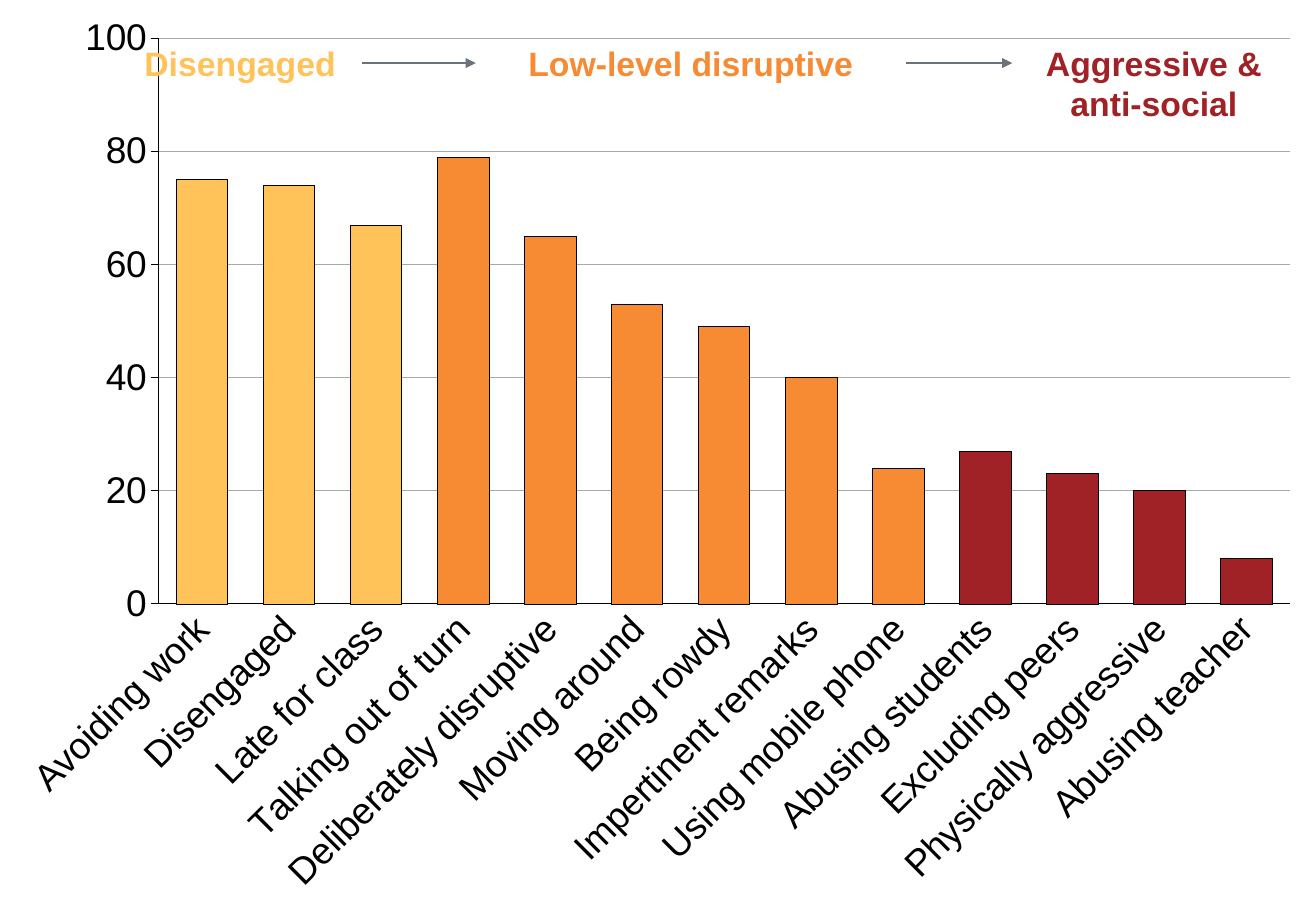
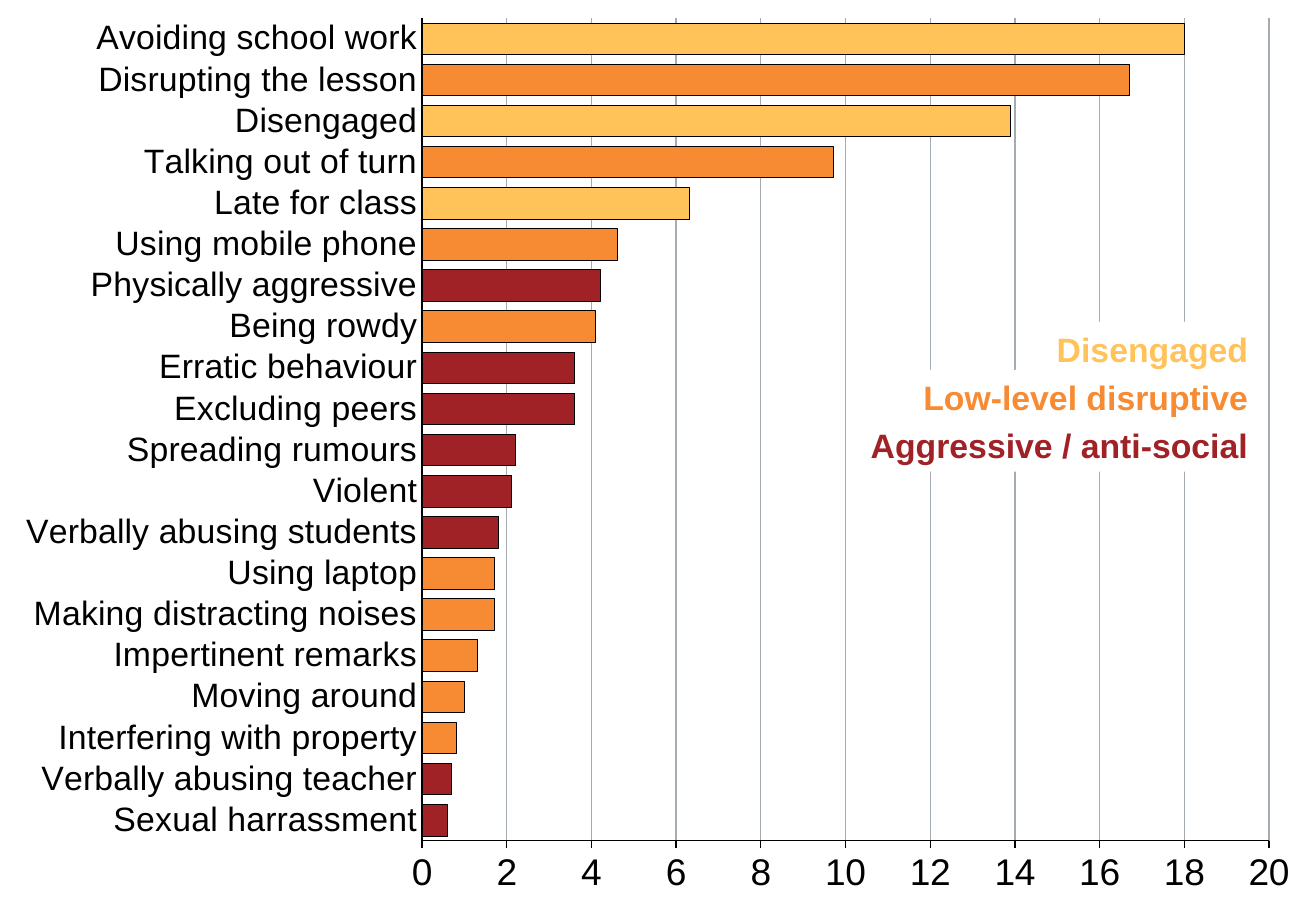
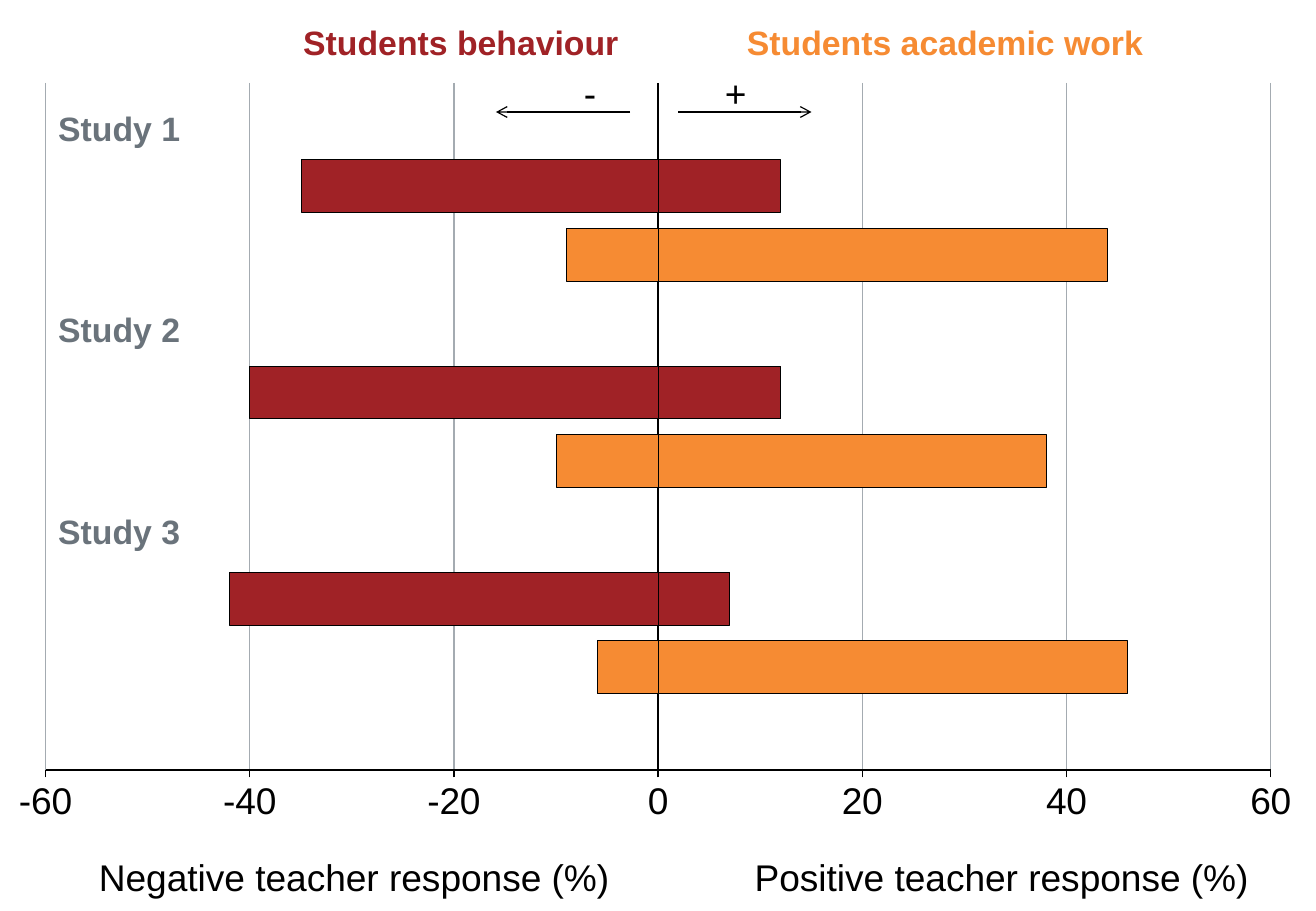
import pptx
import pptx.chart.data
import pptx.dml.color
import pptx.enum.chart
import pptx.enum.shapes
import pptx.enum.text
import pptx.oxml
import pptx.oxml.ns
import pptx.util

Pt = pptx.util.Pt
qn = pptx.oxml.ns.qn
ChartType = pptx.enum.chart.XL_CHART_TYPE
ALIGN = {
    "left": pptx.enum.text.PP_ALIGN.LEFT,
    "center": pptx.enum.text.PP_ALIGN.CENTER,
    "right": pptx.enum.text.PP_ALIGN.RIGHT,
}
COLOURS = {
    "disengaged": "FFC35A",
    "disruptive": "F68B33",
    "aggressive": "A02226",
    "slate": "6A737B",
    "grid": "A4ABB1",
    "ink": "000000",
    "paper": "FFFFFF",
}
GROUPS = {"D": "disengaged", "L": "disruptive", "A": "aggressive"}
FONT = "Arial"
WIDTH, HEIGHT = 780, 540


def rgb(colour):
    return pptx.dml.color.RGBColor.from_string(COLOURS[colour])


def set_line(line, colour="ink", weight=0.75):
    line.color.rgb = rgb(colour)
    line.width = Pt(weight)


def set_font(font, size, colour="ink", bold=False):
    font.name = FONT
    font.size = Pt(size)
    font.bold = bold
    font.color.rgb = rgb(colour)


def write(shape, text, size=20, colour="ink", bold=True, align="left", wrap=True):
    frame = shape.text_frame
    frame.text = text
    frame.word_wrap = wrap
    frame.auto_size = pptx.enum.text.MSO_AUTO_SIZE.SHAPE_TO_FIT_TEXT
    for paragraph in frame.paragraphs:
        paragraph.alignment = ALIGN[align]
        for run in paragraph.runs:
            set_font(run.font, size, colour, bold)


class Deck:
    def __init__(self):
        self.presentation = pptx.Presentation()
        self.presentation.slide_width = Pt(WIDTH)
        self.presentation.slide_height = Pt(HEIGHT)
        self.slide = None

    def new_slide(self):
        self.slide = self.presentation.slides.add_slide(self.presentation.slide_layouts[6])

    def label(self, text, left, top, width, height=32, **style):
        box = self.slide.shapes.add_textbox(Pt(left), Pt(top), Pt(width), Pt(height))
        write(box, text, **style)

    def plate(self, text, left, top, width, height=32, **style):
        plate = self.slide.shapes.add_shape(
            pptx.enum.shapes.MSO_SHAPE.RECTANGLE, Pt(left), Pt(top), Pt(width), Pt(height))
        plate.shadow.inherit = False
        plate.fill.solid()
        plate.fill.fore_color.rgb = rgb("paper")
        plate.line.fill.background()
        write(plate, text, **style)

    def arrow(self, start, end, y, head, colour="ink", weight=0.75):
        arrow = self.slide.shapes.add_connector(
            pptx.enum.shapes.MSO_CONNECTOR.STRAIGHT, Pt(start), Pt(y), Pt(end), Pt(y))
        set_line(arrow.line, colour, weight)
        properties = arrow.element.spPr
        outline = properties.find(qn("a:ln"))
        outline.append(outline.makeelement(qn("a:tailEnd"), {"type": head}))
        properties.append(properties.makeelement(qn("a:effectLst"), {}))

    def chart(self, kind, categories, series, groups, scale, gap, plot_box,
              label_size=22, rotation=None, show_categories=True):
        data = pptx.chart.data.CategoryChartData()
        data.categories = categories
        for number, values in enumerate(series, 1):
            data.add_series(f"Series {number}", values)
        chart = self.slide.shapes.add_chart(kind, 0, 0, Pt(WIDTH), Pt(HEIGHT), data).chart
        chart.has_legend = False
        chart.has_title = False
        set_font(chart.font, 18)
        plot = chart.plots[0]
        plot.vary_by_categories = False
        plot.gap_width = gap
        if kind == ChartType.BAR_STACKED:
            plot.overlap = 100
        for bars, values in zip(plot.series, series):
            bars.invert_if_negative = False
            for index, (value, group) in enumerate(zip(values, groups)):
                if value is not None:
                    bar = bars.points[index].format
                    bar.fill.solid()
                    bar.fill.fore_color.rgb = rgb(GROUPS[group])
                    set_line(bar.line, weight=0.25)
        self.style_axes(chart, scale, label_size, show_categories)
        if rotation is not None:
            body = chart.element.find(f".//{qn('c:catAx')}/{qn('c:txPr')}/{qn('a:bodyPr')}")
            body.set("rot", str(rotation * 60000))
            body.set("vert", "horz")
        self.place_plot(chart, plot_box)

    def style_axes(self, chart, scale, label_size, show_categories):
        tick = pptx.enum.chart.XL_TICK_MARK
        names, values = chart.category_axis, chart.value_axis
        for axis, size, mark in ((names, label_size, tick.NONE), (values, 22, tick.OUTSIDE)):
            set_font(axis.tick_labels.font, size)
            set_line(axis.format.line)
            axis.major_tick_mark = mark
            axis.minor_tick_mark = tick.NONE
        names.has_major_gridlines = False
        if not show_categories:
            names.tick_label_position = pptx.enum.chart.XL_TICK_LABEL_POSITION.NONE
        values.minimum_scale, values.maximum_scale, values.major_unit = scale
        values.has_major_gridlines = True
        set_line(values.major_gridlines.format.line, "grid")

    def place_plot(self, chart, plot_box):
        area = chart.element.find(f".//{qn('c:plotArea')}")
        for old in area.findall(qn("c:layout")):
            area.remove(old)
        layout = area.makeelement(qn("c:layout"), {})
        manual = layout.makeelement(qn("c:manualLayout"), {})
        layout.append(manual)
        left, top, width, height = plot_box
        settings = {
            "layoutTarget": "inner", "xMode": "edge", "yMode": "edge",
            "x": left / WIDTH, "y": top / HEIGHT, "w": width / WIDTH, "h": height / HEIGHT,
        }
        for tag, value in settings.items():
            manual.append(manual.makeelement(qn(f"c:{tag}"), {"val": str(value)}))
        area.insert(0, layout)


def behaviour_frequency(deck):
    deck.new_slide()
    deck.chart(
        ChartType.COLUMN_CLUSTERED,
        ["Avoiding work", "Disengaged", "Late for class", "Talking out of turn",
         "Deliberately disruptive", "Moving around", "Being rowdy", "Impertinent remarks",
         "Using mobile phone", "Abusing students", "Excluding peers",
         "Physically aggressive", "Abusing teacher"],
        [[75, 74, 67, 79, 65, 53, 49, 40, 24, 27, 23, 20, 8]],
        groups="DDDLLLLLLAAAA", scale=(0, 100, 20), gap=70,
        plot_box=(94, 22.7, 670.5, 335.3), rotation=-45)
    deck.label("Disengaged", 78.5, 21.6, 136, colour="disengaged")
    deck.label("Low-level disruptive", 282, 21.6, 255, colour="disruptive", align="center")
    deck.label("Aggressive &\nanti-social", 588, 21.6, 192, 55.5,
               colour="aggressive", align="center")
    for start, end in ((214.5, 282), (537, 600)):
        deck.arrow(start, end, 37.4, "triangle", colour="slate", weight=1.5)


def hardest_behaviour(deck):
    deck.new_slide()
    deck.chart(
        ChartType.BAR_CLUSTERED,
        ["Sexual harrassment", "Verbally abusing teacher", "Interfering with property",
         "Moving around", "Impertinent remarks", "Making distracting noises",
         "Using laptop", "Verbally abusing students", "Violent", "Spreading rumours",
         "Excluding peers", "Erratic behaviour", "Being rowdy", "Physically aggressive",
         "Using mobile phone", "Late for class", "Talking out of turn", "Disengaged",
         "Disrupting the lesson", "Avoiding school work"],
        [[0.6, 0.7, 0.8, 1, 1.3, 1.7, 1.7, 1.8, 2.1, 2.2,
          3.6, 3.6, 4.1, 4.2, 4.6, 6.3, 9.7, 13.9, 16.7, 18]],
        groups="AALLLLLAAAAALALDLDLD", scale=(0, 20, 2), gap=30,
        plot_box=(250.2, 10.7, 502, 487.6), label_size=20)
    key = (("Disengaged", 129, "disengaged"),
           ("Low-level disruptive", 208, "disruptive"),
           ("Aggressive / anti-social", 240, "aggressive"))
    key_right, key_top, key_step = 747, 190.8, 28.4
    for row, (text, width, colour) in enumerate(key):
        deck.plate(text, key_right - width, key_top + row * key_step, width,
                   colour=colour, align="right", wrap=False)


def teacher_responses(deck):
    deck.new_slide()
    negative = [None, -6, -42, None, -10, -40, None, -9, -35, None]
    positive = [None, 46, 7, None, 38, 12, None, 44, 12, None]
    deck.chart(
        ChartType.BAR_STACKED, [str(n) for n in range(1, 11)], [negative, positive],
        groups="ALAALAALAA", scale=(-60, 60, 20), gap=30,
        plot_box=(27, 49.2, 726.2, 407.4), show_categories=False)
    for row in range(3):
        deck.label(f"Study {row + 1}", 27.4, 60.5 + row * 119.2, 103, colour="slate")
    deck.label("Negative teacher response (%)", 44, 502.6, 332, 34,
               size=22, bold=False, align="center")
    deck.label("Positive teacher response (%)", 436.3, 502.6, 311, 34,
               size=22, bold=False, align="right", wrap=False)
    deck.label("Students behaviour", 162, 9.4, 222.5, colour="aggressive", align="center")
    deck.label("Students academic work", 430, 9.4, 260.5, colour="disruptive", align="center")
    for sign, sign_left, start, end in (("+", 422.6, 402, 481), ("-", 339, 373.5, 294)):
        deck.arrow(start, end, 66.4, "arrow")
        deck.label(sign, sign_left, 38, 42, 34, size=22, bold=False)


def main():
    deck = Deck()
    behaviour_frequency(deck)
    hardest_behaviour(deck)
    teacher_responses(deck)
    deck.presentation.save("out.pptx")


if __name__ == "__main__":
    main()
